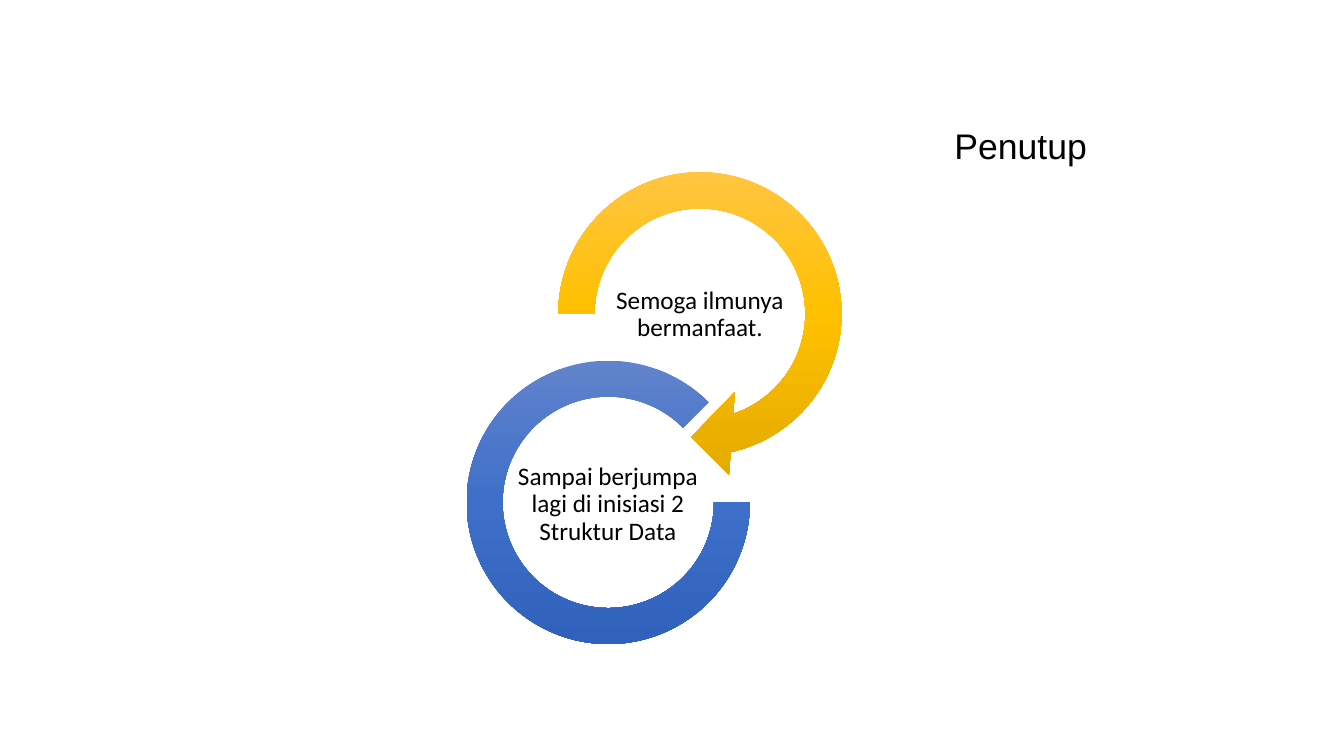
from copy import deepcopy
from dataclasses import dataclass

from pptx import Presentation
from pptx.dml.color import RGBColor
from pptx.enum import shapes, text
from pptx.oxml import ns
from pptx.util import Cm, Pt


@dataclass(frozen=True)
class Theme:
    ink: str = "000000"
    gold: tuple = ("FFC64B", "FFC000", "E3AB00")
    blue: tuple = ("6183CB", "3E70CA", "3062BB")
    title_font: str = "Arial"
    body_font: str = "Calibri"
    title_size: float = 25.4
    body_size: float = 18


THEME = Theme()


def format_runs(paragraph, font_name, size):
    for run in paragraph.runs:
        run.font.name = font_name
        run.font.size = Pt(size)
        run.font.color.rgb = RGBColor.from_string(THEME.ink)


def set_title(slide, wording, left, top, width, height):
    title = slide.shapes.title
    title.left, title.top, title.width, title.height = map(Cm, (left, top, width, height))
    frame = title.text_frame
    frame.text = wording
    frame.word_wrap = True
    frame.auto_size = text.MSO_AUTO_SIZE.SHAPE_TO_FIT_TEXT
    frame.vertical_anchor = text.MSO_ANCHOR.TOP
    paragraph = frame.paragraphs[0]
    paragraph.alignment = text.PP_ALIGN.LEFT
    format_runs(paragraph, THEME.title_font, THEME.title_size)


def fill_downwards(shape, colours):
    shape.fill.gradient()
    shape.fill.gradient_angle = 270
    stop_list = next(shape._element.iter(ns.qn("a:gsLst")))
    stop_list.append(deepcopy(stop_list[-1]))
    for index, (stop, colour) in enumerate(zip(shape.fill.gradient_stops, colours)):
        stop.position = index / (len(colours) - 1)
        stop.color.rgb = RGBColor.from_string(colour)


def add_ring(group, kind, left, top, diameter, adjustments, colours):
    ring = group.shapes.add_shape(kind, Cm(left), Cm(top), Cm(diameter), Cm(diameter))
    ring.shadow.inherit = False
    ring.line.fill.background()
    for index, value in enumerate(adjustments):
        ring.adjustments[index] = value
    fill_downwards(ring, colours)


def add_caption(group, wording, left, top):
    caption = group.shapes.add_textbox(Cm(left), Cm(top), Cm(4.64), Cm(2.32))
    frame = caption.text_frame
    frame.text = wording
    frame.word_wrap = True
    frame.vertical_anchor = text.MSO_ANCHOR.MIDDLE
    frame.margin_left = frame.margin_right = Cm(0.03)
    frame.margin_top = frame.margin_bottom = Cm(0.03)
    paragraph = frame.paragraphs[0]
    paragraph.alignment = text.PP_ALIGN.CENTER
    paragraph.line_spacing = 0.9
    format_runs(paragraph, THEME.body_font, THEME.body_size)


def main():
    presentation = Presentation()
    presentation.slide_width = Cm(33.87)
    presentation.slide_height = Cm(19.05)
    layout = presentation.slide_layouts.get_by_name("Title Only")
    slide = presentation.slides.add_slide(layout)

    group = slide.shapes.add_group_shape()
    add_ring(group, shapes.MSO_SHAPE.CIRCULAR_ARROW, 13.49, 3.76, 8.3,
             (0.11, 11.42, 45, 108, 0.125), THEME.gold)
    add_caption(group, "Semoga ilmunya bermanfaat.", 15.32, 6.78)
    add_ring(group, shapes.MSO_SHAPE.BLOCK_ARC, 11.76, 9.09, 7.14,
             (0, 189, 0.127), THEME.blue)
    add_caption(group, "Sampai berjumpa lagi di inisiasi 2 Struktur Data", 13, 11.56)

    set_title(slide, "Penutup", 23.8, 3, 4.5, 1.32)
    presentation.save("out.pptx")


if __name__ == "__main__":
    main()
